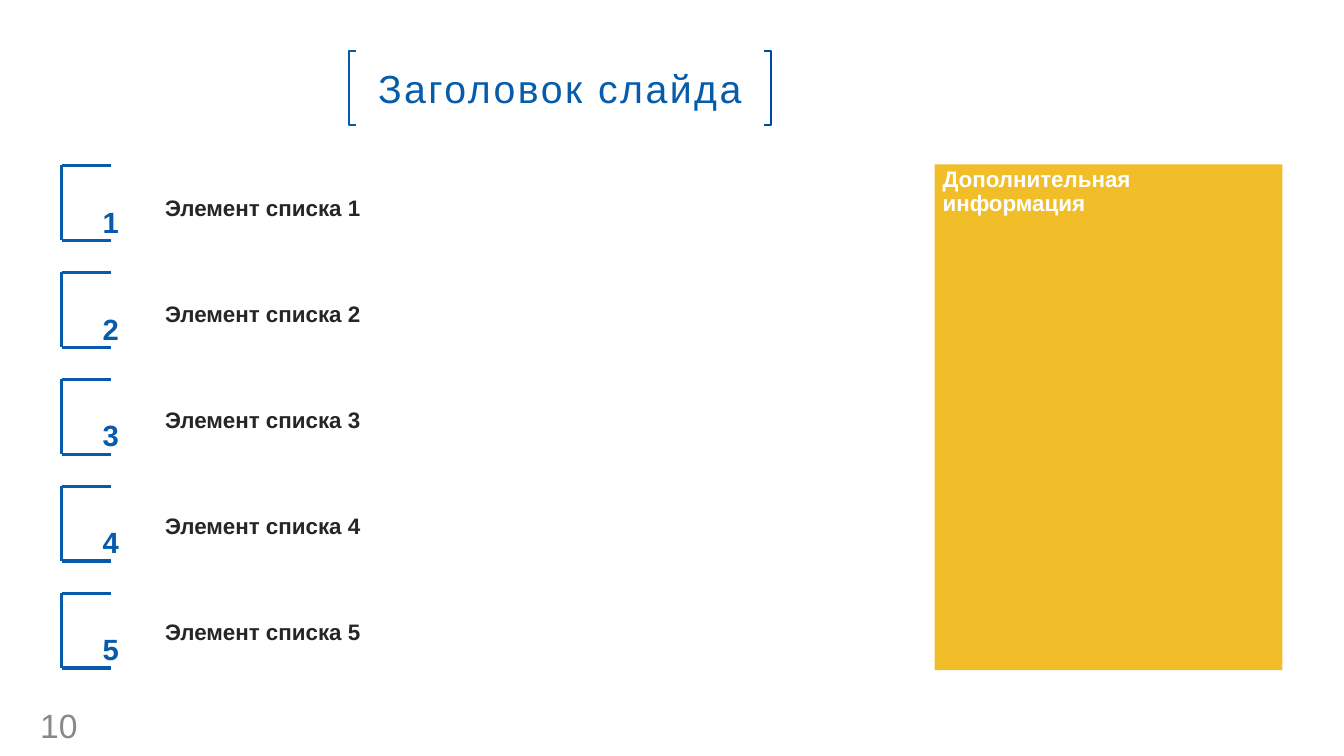
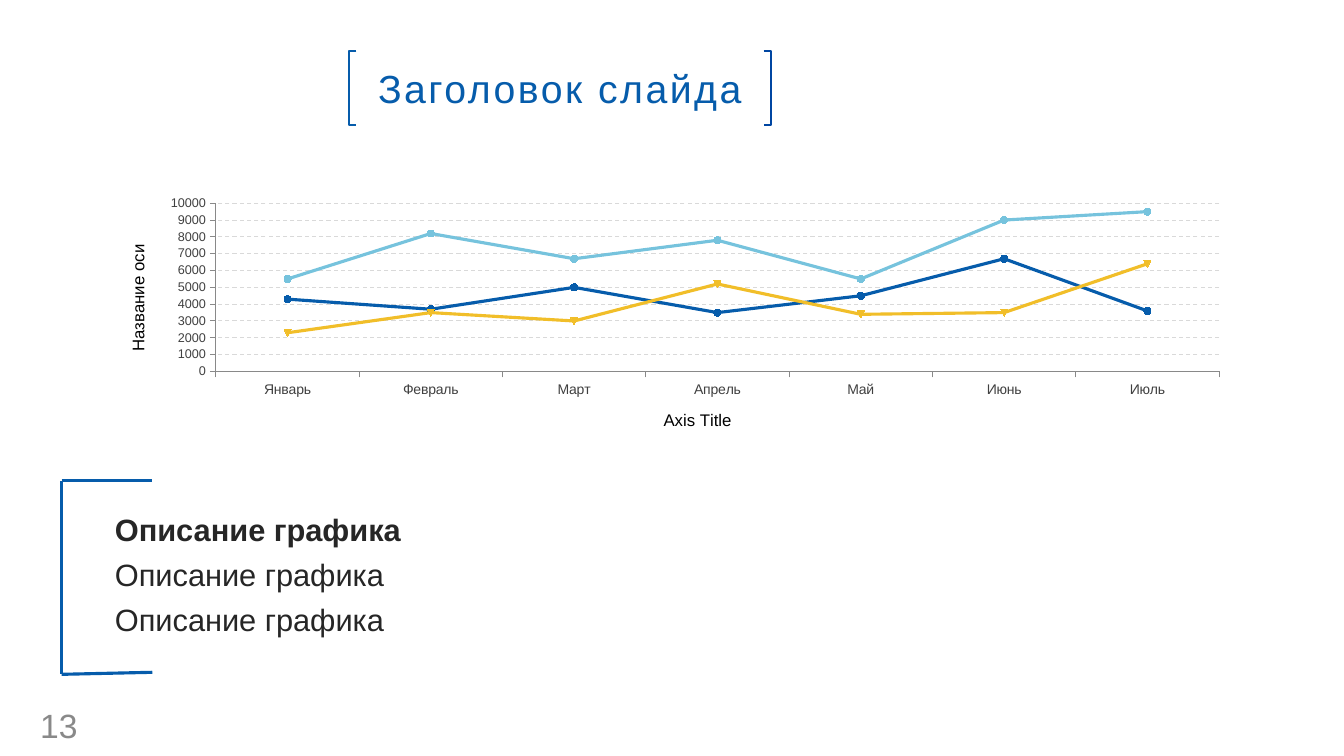
from lxml.etree import SubElement
from pptx import Presentation
from pptx.chart.data import CategoryChartData
from pptx.dml.color import RGBColor
from pptx.enum.chart import XL_CHART_TYPE, XL_MARKER_STYLE, XL_TICK_MARK
from pptx.enum.dml import MSO_LINE
from pptx.enum.shapes import MSO_CONNECTOR, MSO_SHAPE
from pptx.enum.text import MSO_ANCHOR, PP_ALIGN
from pptx.oxml import parse_xml
from pptx.oxml.ns import nsdecls, qn
from pptx.util import Inches, Pt

WIDTH, HEIGHT = Inches(13.33), Inches(7.5)
FONT = "Arial"
BLUE = RGBColor(0x06, 0x5C, 0xAB)
DEEP_BLUE = RGBColor(0x00, 0x46, 0xA2)
SKY = RGBColor(0x76, 0xC3, 0xDD)
YELLOW = RGBColor(0xF1, 0xBE, 0x29)
WHITE = RGBColor(0xFF, 0xFF, 0xFF)
BLACK = RGBColor(0x00, 0x00, 0x00)
INK = RGBColor(0x26, 0x26, 0x26)
LABEL = RGBColor(0x40, 0x40, 0x40)
GREY = RGBColor(0x89, 0x89, 0x89)
GRID = RGBColor(0xD9, 0xD9, 0xD9)

TITLE = "Заголовок слайда"
TITLE_AREA = (25.95, 6.8, 31.43, 9.73)
TITLE_TICK = 0.56
MARGIN = 4.58
MONTHS = ("Январь", "Февраль", "Март", "Апрель", "Май", "Июнь", "Июль")
SERIES = (
    ("Series 1", (4300, 3700, 5000, 3500, 4500, 6700, 3600), BLUE, XL_MARKER_STYLE.CIRCLE),
    ("Series 2", (5500, 8200, 6700, 7800, 5500, 9000, 9500), SKY, XL_MARKER_STYLE.CIRCLE),
    ("Series 3", (2300, 3500, 3000, 5200, 3400, 3500, 6400), YELLOW, XL_MARKER_STYLE.AUTOMATIC),
)


def across(percent):
    return round(WIDTH * percent / 100)


def down(percent):
    return round(HEIGHT * percent / 100)


def place(area):
    left, top, width, height = area
    return across(left), down(top), across(width), down(height)


def style(font, size, colour, bold=False):
    font.name = FONT
    font.size = Pt(size)
    font.bold = bold
    font.color.rgb = colour


def write(para, text, size, colour, bold=False, **marks):
    span = para.add_run()
    span.text = text
    for name, value in marks.items():
        span._r.get_or_add_rPr().set(name, str(value))
    style(para.font, size, colour, bold)


def set_frame(frame, side, edge, anchor=MSO_ANCHOR.TOP):
    frame.word_wrap = True
    frame.vertical_anchor = anchor
    frame.margin_left = frame.margin_right = Inches(side)
    frame.margin_top = frame.margin_bottom = Inches(edge)


def add_text(page, area, text, size, colour, bold=False, anchor=MSO_ANCHOR.TOP, **marks):
    box = page.shapes.add_textbox(*place(area))
    set_frame(box.text_frame, 0.1, 0.05, anchor)
    write(box.text_frame.paragraphs[0], text, size, colour, bold, **marks)


def add_rectangle(page, area, fill):
    box = page.shapes.add_shape(MSO_SHAPE.RECTANGLE, *place(area))
    box.shadow.inherit = False
    box.fill.solid()
    box.fill.fore_color.rgb = fill
    box.line.fill.background()
    return box


def add_title_bracket(page, side, inner, colour):
    top, bottom = down(TITLE_AREA[1]), down(TITLE_AREA[1] + TITLE_AREA[3])
    outline = page.shapes.build_freeform(across(inner), top)
    outline.add_line_segments(
        [(across(side), top), (across(side), bottom), (across(inner), bottom)], close=False)
    bracket = outline.convert_to_shape()
    bracket.shadow.inherit = False
    bracket.fill.background()
    bracket.line.color.rgb = colour
    bracket.line.width = Pt(1.3)


def add_title(page):
    box = add_rectangle(page, TITLE_AREA, WHITE)
    set_frame(box.text_frame, 0, 0, MSO_ANCHOR.MIDDLE)
    para = box.text_frame.paragraphs[0]
    para.alignment = PP_ALIGN.CENTER
    write(para, TITLE, 28, BLUE, spc=180)
    left, right = TITLE_AREA[0], TITLE_AREA[0] + TITLE_AREA[2]
    add_title_bracket(page, left, left + TITLE_TICK, BLUE)
    add_title_bracket(page, right, right - TITLE_TICK, DEEP_BLUE)


def add_page(deck, number):
    page = deck.slides.add_slide(deck.slide_layouts[6])
    add_title(page)
    add_text(page, (2.25, 93.87, 4.65, 4), str(number), 24, GREY, anchor=MSO_ANCHOR.MIDDLE)
    return page


def add_line(page, start, end):
    line = page.shapes.add_connector(
        MSO_CONNECTOR.STRAIGHT, across(start[0]), down(start[1]), across(end[0]), down(end[1]))
    line.line.color.rgb = BLUE
    line.line.width = Pt(2.25)
    SubElement(line._element.spPr, qn("a:effectLst"))


def add_bracket(page, top, width, height, rise=0):
    bottom, right = top + height, MARGIN + width
    add_line(page, (MARGIN, top), (MARGIN, bottom))
    add_line(page, (MARGIN, top), (right, top))
    add_line(page, (MARGIN, bottom), (right, bottom - rise))


def add_list_item(page, index):
    number = index + 1
    add_bracket(page, 21.87 + 14.15 * index, 3.68, 9.9)
    add_text(page, (11.55, 25.07 + 14 * index, 51, 4.93),
             f"Элемент списка {number}", 16, INK, True)
    add_text(page, (6.9, 25.6 + 14.1 * index, 8.85, 6.67),
             str(number), 36, BLUE, True, baseline=30000)


def add_panel(page):
    box = add_rectangle(page, (69.53, 21.73, 25.88, 66.93), YELLOW)
    set_frame(box.text_frame, 0.08, 0.04)
    para = box.text_frame.paragraphs[0]
    para.alignment = PP_ALIGN.JUSTIFY
    para.line_spacing = 0.9
    write(para, "Дополнительная информация", 16, WHITE, True)


def set_layout(parent, index, target="", **shares):
    for old in parent.findall(qn("c:layout")):
        parent.remove(old)
    modes = "".join(f'<c:{name}Mode val="edge"/>' for name in ("x", "y"))
    sizes = "".join(f'<c:{name} val="{value}"/>' for name, value in shares.items())
    parent.insert(index, parse_xml(
        f'<c:layout {nsdecls("c")}><c:manualLayout>{target}{modes}{sizes}'
        '</c:manualLayout></c:layout>'))


def style_axis(axis, title, size, x, y, turn=0):
    axis.major_tick_mark = XL_TICK_MARK.OUTSIDE
    axis.minor_tick_mark = XL_TICK_MARK.NONE
    axis.format.line.color.rgb = GREY
    axis.format.line.width = Pt(0.75)
    style(axis.tick_labels.font, size, LABEL)
    frame = axis.axis_title.text_frame
    write(frame.paragraphs[0], title, 12, BLACK)
    element = axis.axis_title._element
    element.find(".//" + qn("a:bodyPr")).set("rot", str(turn))
    set_layout(element, 1, x=x, y=y)


def add_line_chart(page):
    data = CategoryChartData(number_format="General")
    data.categories = MONTHS
    for name, values, _, _ in SERIES:
        data.add_series(name, values)
    chart = page.shapes.add_chart(
        XL_CHART_TYPE.LINE_MARKERS, *place((7.58, 25.2, 84.83, 33.73)), data).chart
    chart.has_title = False
    chart.has_legend = False
    style(chart.font, 18, BLACK)
    plot = chart.plots[0]
    plot.vary_by_categories = False
    for series, (_, _, colour, symbol) in zip(plot.series, SERIES):
        series.smooth = False
        series.format.line.color.rgb = colour
        series.format.line.width = Pt(2.25)
        series.marker.style = symbol
        series.marker.size = 5
        series.marker.format.fill.solid()
        series.marker.format.fill.fore_color.rgb = colour
        series.marker.format.line.color.rgb = colour
    style_axis(chart.category_axis, "Axis Title", 10, 0.49, 0.85)
    values = chart.value_axis
    values.minimum_scale, values.maximum_scale, values.major_unit = 0, 10000, 1000
    style_axis(values, "Название оси", 9, 0.02, 0.2, -5400000)
    grid = values.major_gridlines.format.line
    grid.color.rgb = GRID
    grid.width = Pt(0.75)
    grid.dash_style = MSO_LINE.DASH
    area = chart._chartSpace.find(".//" + qn("c:plotArea"))
    set_layout(area, 0, '<c:layoutTarget val="inner"/>', x=0.1, y=0.05, w=0.88, h=0.66)


def add_description(page):
    box = page.shapes.add_textbox(*place((7.95, 67.6, 88.8, 17.73)))
    frame = box.text_frame
    set_frame(frame, 0.08, 0.04)
    for index in range(3):
        para = frame.add_paragraph() if index else frame.paragraphs[0]
        para.line_spacing = 0.9
        if index:
            para.alignment = PP_ALIGN.JUSTIFY
            para.space_before = Pt(8.4)
        write(para, "Описание графика", 22, INK, index == 0)


def main():
    deck = Presentation()
    deck.slide_width, deck.slide_height = WIDTH, HEIGHT

    list_page = add_page(deck, 10)
    for index in range(5):
        add_list_item(list_page, index)
    add_panel(list_page)

    chart_page = add_page(deck, 13)
    add_line_chart(chart_page)
    add_bracket(chart_page, 63.6, 6.75, 25.6, 0.27)
    add_description(chart_page)

    deck.save("out.pptx")


if __name__ == "__main__":
    main()
